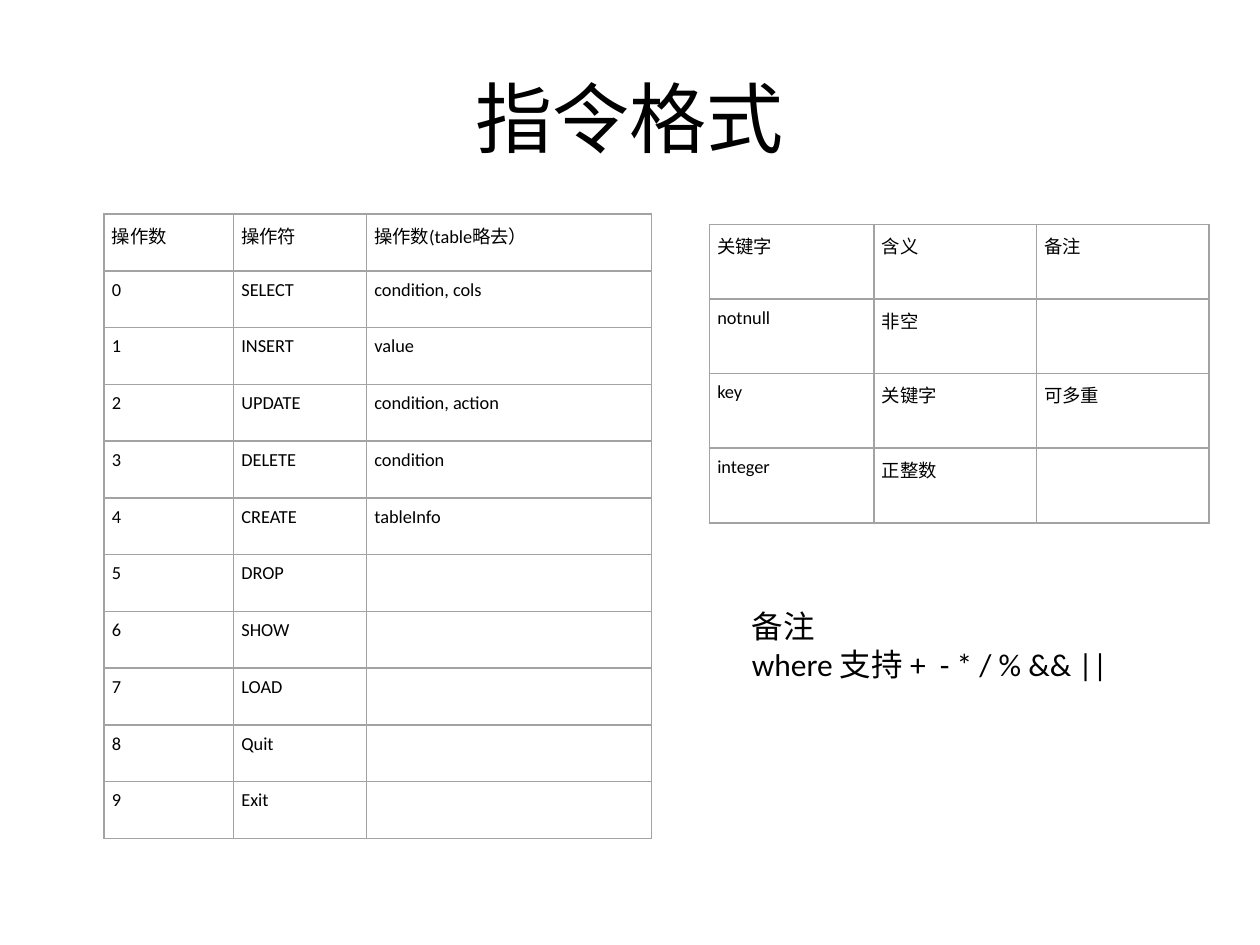
from lxml import etree
from pptx import Presentation
from pptx.dml.color import RGBColor
from pptx.enum.text import MSO_ANCHOR, PP_ALIGN
from pptx.oxml.ns import qn
from pptx.util import Pt

BLACK = RGBColor(0x00, 0x00, 0x00)
GREY = RGBColor(0xA3, 0xA3, 0xA3)
FONT = "Calibri"
MIDDLE, TOP = MSO_ANCHOR.MIDDLE, MSO_ANCHOR.TOP
CENTER, LEFT = PP_ALIGN.CENTER, PP_ALIGN.LEFT

COMMANDS = [
    ("操作数", "操作符", "操作数(table略去）"),
    ("0", "SELECT", "condition, cols"),
    ("1", "INSERT", "value"),
    ("2", "UPDATE", "condition, action"),
    ("3", "DELETE", "condition"),
    ("4", "CREATE", "tableInfo"),
    ("5", "DROP", ""),
    ("6", "SHOW", ""),
    ("7", "LOAD", ""),
    ("8", "Quit", ""),
    ("9", "Exit", ""),
]
KEYWORDS = [
    ("关键字", "含义", "备注"),
    ("notnull", "非空", ""),
    ("key", "关键字", "可多重"),
    ("integer", "正整数", ""),
]


def style_text(tf, size, align=LEFT):
    """Give every paragraph of a text frame its alignment and font."""
    for p in tf.paragraphs:
        p.alignment = align
        for r in p.runs:
            r.font.name = FONT
            r.font.size = Pt(size)
            r.font.color.rgb = BLACK


def add_text(s, box, text, size, align=LEFT, anchor=TOP):
    """Place a wrapped text box in the given box."""
    tf = s.shapes.add_textbox(*map(Pt, box)).text_frame
    tf.word_wrap = True
    tf.vertical_anchor = anchor
    tf.text = text
    style_text(tf, size, align)


def add_borders(cell):
    """Draw a one-point grey line on each side of a cell."""
    tcPr = cell._tc.get_or_add_tcPr()
    for side in ("a:lnL", "a:lnR", "a:lnT", "a:lnB"):
        ln = etree.SubElement(tcPr, qn(side), w=str(Pt(1)))
        fill = etree.SubElement(ln, qn("a:solidFill"))
        etree.SubElement(fill, qn("a:srgbClr"), val=str(GREY))


def add_grid(s, box, widths, rows):
    """Place a plain ruled table with equal rows in the given box."""
    table = s.shapes.add_table(len(rows), len(widths), *map(Pt, box)).table
    table.first_row = table.horz_banding = False
    for col, width in zip(table.columns, widths):
        col.width = Pt(width)
    for row, texts in zip(table.rows, rows):
        row.height = Pt(box[3] / len(rows))
        for cell, text in zip(row.cells, texts):
            cell.margin_left = cell.margin_right = Pt(4.5)
            cell.margin_top = cell.margin_bottom = Pt(4.5)
            add_borders(cell)
            cell.fill.background()
            cell.text = text
            style_text(cell.text_frame, 10.5)


def main():
    """Build the instruction format slide."""
    prs = Presentation()
    prs.slide_width, prs.slide_height = Pt(720), Pt(540)
    s = prs.slides.add_slide(prs.slide_layouts[6])
    add_text(s, (36, 21.6, 648, 90), "指令格式", 44, CENTER, MIDDLE)
    add_grid(s, (59.5, 122.4, 312.8, 357), (74, 76, 162.8), COMMANDS)
    add_grid(s, (405.4, 128.2, 285.4, 170.6), (94, 92.8, 98.6), KEYWORDS)
    add_text(s, (422.6, 343.4, 255, 51),
             "备注\nwhere 支持 +  - * / % && ||", 18)
    prs.save("out.pptx")


if __name__ == "__main__":
    main()
